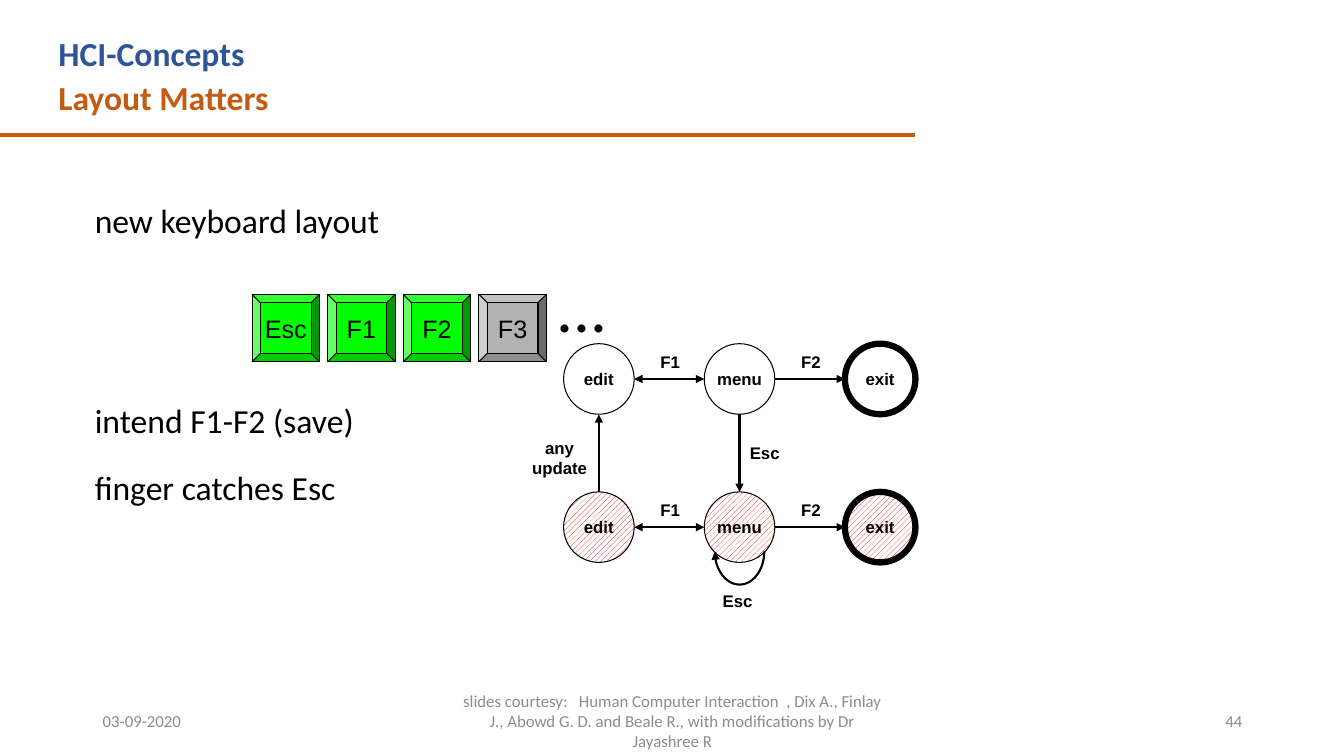
from pptx import Presentation
from pptx.dml.color import RGBColor
from pptx.enum.dml import MSO_PATTERN
from pptx.enum.shapes import MSO_CONNECTOR, MSO_SHAPE
from pptx.enum.text import MSO_ANCHOR, MSO_AUTO_SIZE, PP_ALIGN
from pptx.oxml.ns import qn
from pptx.util import Inches, Pt
from lxml.etree import SubElement

BLACK = RGBColor(0x00, 0x00, 0x00)
WHITE = RGBColor(0xFF, 0xFF, 0xFF)
BLUE = RGBColor(0x2F, 0x55, 0x97)
ORANGE = RGBColor(0xC5, 0x5A, 0x11)
GREY = RGBColor(0x8C, 0x8C, 0x8C)
KEY_GREEN = RGBColor(0x00, 0xFF, 0x00)
KEY_GREY = RGBColor(0xB2, 0xB2, 0xB2)
RED = RGBColor(0xFF, 0x00, 0x00)


def write(shape, text, size, color=BLACK, font="Calibri", bold=False,
          align=PP_ALIGN.LEFT, anchor=MSO_ANCHOR.TOP, wrap=True):
    tf = shape.text_frame
    tf.text = text
    tf.word_wrap = wrap
    tf.auto_size = MSO_AUTO_SIZE.NONE
    tf.vertical_anchor = anchor
    for p in tf.paragraphs:
        p.alignment = align
        for r in p.runs:
            r.font.size, r.font.name, r.font.bold = Pt(size), font, bold
            r.font.color.rgb = color


def place(shape, x, y, w, h):
    shape.left, shape.top = Inches(x), Inches(y)
    shape.width, shape.height = Inches(w), Inches(h)


def add_box(shapes, x, y, w, h, text, size, **style):
    box = shapes.add_textbox(Inches(x), Inches(y), Inches(w), Inches(h))
    write(box, text, size, **style)


def add_label(shapes, cx, cy, text):
    """Bold diagram label centred on (cx, cy)."""
    w, h = 0.75, 0.5
    add_box(shapes, cx - w / 2, cy - h / 2, w, h, text, 12, font="Arial",
            bold=True, align=PP_ALIGN.CENTER, anchor=MSO_ANCHOR.MIDDLE, wrap=False)


def add_preset(shapes, kind, x, y, w, h, line_width):
    sp = shapes.add_shape(kind, Inches(x), Inches(y), Inches(w), Inches(h))
    sp.shadow.inherit = False
    sp.line.color.rgb = BLACK
    sp.line.width = Pt(line_width)
    return sp


def add_arrowheads(shape, ends):
    ln = shape.line._get_or_add_ln()
    for end in ends:
        SubElement(ln, qn(f"a:{end}"), type="triangle")


def add_line(shapes, start, end, color=BLACK, width=1.5, ends=("tailEnd",)):
    points = [Inches(v) for v in (*start, *end)]
    cxn = shapes.add_connector(MSO_CONNECTOR.STRAIGHT, *points)
    cxn.line.color.rgb = color
    cxn.line.width = Pt(width)
    add_arrowheads(cxn, ends)
    SubElement(cxn._element.spPr, qn("a:effectLst"))


def add_header(s, x, y, rule_end):
    title = s.shapes.title
    place(title, x, y, 7.66, 0.5)
    write(title, "HCI-Concepts", 24, color=BLUE, bold=True)
    add_box(s.shapes, x, y + 0.43, 8.05, 0.5, "Layout Matters", 24,
            color=ORANGE, bold=True)
    add_line(s.shapes, (0, 1.34), (rule_end, 1.34), ORANGE, 3, ends=())


def add_points(s, x, y, w, h):
    points = [("new keyboard layout", 0), ("intend F1-F2 (save)", 114),
              ("finger catches Esc", 19)]
    body = s.placeholders[1]
    place(body, x, y, w, h)
    write(body, "\n".join(text for text, _ in points), 24)
    for p, (_, gap) in zip(body.text_frame.paragraphs, points):
        pPr = p._p.get_or_add_pPr()
        pPr.set("marL", "0")
        pPr.set("indent", "0")
        SubElement(pPr, qn("a:buNone"))
        p.space_before = Pt(gap)


def add_keyboard(s, x, y, key, pitch):
    shapes = s.shapes.add_group_shape().shapes
    keys = [("Esc", KEY_GREEN), ("F1", KEY_GREEN), ("F2", KEY_GREEN), ("F3", KEY_GREY)]
    for i, (name, color) in enumerate(keys):
        sp = add_preset(shapes, MSO_SHAPE.BEVEL, x + i * pitch, y, key, key, 0.75)
        sp.adjustments[0] = 0.125
        sp.fill.solid()
        sp.fill.fore_color.rgb = color
        write(sp, name, 18, font="Arial", align=PP_ALIGN.CENTER,
              anchor=MSO_ANCHOR.MIDDLE, wrap=False)
    add_box(shapes, x + 3 * pitch + key, y - 0.34, 0.7, 0.9, "...", 48, wrap=False)


def add_state(shapes, cx, cy, d, name, modified):
    width = 4.5 if name == "exit" else 0.75
    sp = add_preset(shapes, MSO_SHAPE.OVAL, cx - d / 2, cy - d / 2, d, d, width)
    if modified:
        sp.fill.patterned()
        sp.fill.pattern = MSO_PATTERN.WIDE_UPWARD_DIAGONAL
        sp.fill.fore_color.rgb = RED
        sp.fill.back_color.rgb = WHITE
    else:
        sp.fill.solid()
        sp.fill.fore_color.rgb = WHITE
    write(sp, name, 12, font="Arial", bold=True, align=PP_ALIGN.CENTER,
          anchor=MSO_ANCHOR.MIDDLE, wrap=False)


def add_state_diagram(s, x, y, d, col_pitch, row_pitch):
    shapes = s.shapes.add_group_shape().shapes
    r = d / 2
    edit_x, menu_x, exit_x = [x + r + i * col_pitch for i in range(3)]
    top, bottom = y + r, y + r + row_pitch
    for cy in (top, bottom):
        for name, cx in (("edit", edit_x), ("menu", menu_x), ("exit", exit_x)):
            add_state(shapes, cx, cy, d, name, modified=cy == bottom)
        add_line(shapes, (edit_x + r, cy), (menu_x - r, cy), ends=("headEnd", "tailEnd"))
        add_line(shapes, (menu_x + r, cy), (exit_x - r, cy))
        add_label(shapes, (edit_x + menu_x) / 2 + 0.01, cy - 0.17, "F1")
        add_label(shapes, (menu_x + exit_x) / 2 + 0.01, cy - 0.17, "F2")

    add_line(shapes, (menu_x, top + r), (menu_x, bottom - r))
    add_line(shapes, (edit_x, bottom - r), (edit_x, top + r))
    add_label(shapes, menu_x + 0.25, (top + bottom) / 2, "Esc")
    add_label(shapes, edit_x - 0.39, (top + bottom) / 2 + 0.05, "any\vupdate")

    loop_w, loop_h = 0.49, 0.66
    loop = add_preset(shapes, MSO_SHAPE.ARC, menu_x - loop_w / 2,
                      bottom + 0.24 - loop_h / 2, loop_w, loop_h, 1.5)
    loop.adjustments[0] = 0
    loop.adjustments[1] = 108  # half a turn: 180 degrees in 60000ths, over 100000
    loop.fill.background()
    add_arrowheads(loop, ("tailEnd",))
    add_label(shapes, menu_x - 0.02, bottom + 0.73, "Esc")


def add_footer(s, y, h):
    courtesy = ("slides courtesy:   Human Computer Interaction  , Dix A., Finlay J., "
                "Abowd G. D. and Beale R., with modifications by Dr Jayashree R")
    for x, w, text, align in ((0.92, 3, "03-09-2020", PP_ALIGN.LEFT),
                              (4.42, 4.5, courtesy, PP_ALIGN.CENTER),
                              (9.42, 3, "44", PP_ALIGN.RIGHT)):
        add_box(s.shapes, x, y, w, h, text, 12, color=GREY, align=align,
                anchor=MSO_ANCHOR.MIDDLE)


def main():
    prs = Presentation()
    prs.slide_width, prs.slide_height = Inches(13.33), Inches(7.5)
    s = prs.slides.add_slide(prs.slide_layouts[1])
    add_header(s, 0.48, 0.28, rule_end=9.08)
    add_points(s, 0.84, 1.93, 8.24, 4.17)
    add_footer(s, 6.95, 0.4)
    add_keyboard(s, 2.5, 2.92, key=0.67, pitch=0.75)
    add_state_diagram(s, 5.59, 3.41, d=0.7, col_pitch=1.395, row_pitch=1.47)
    prs.save("out.pptx")


if __name__ == "__main__":
    main()
